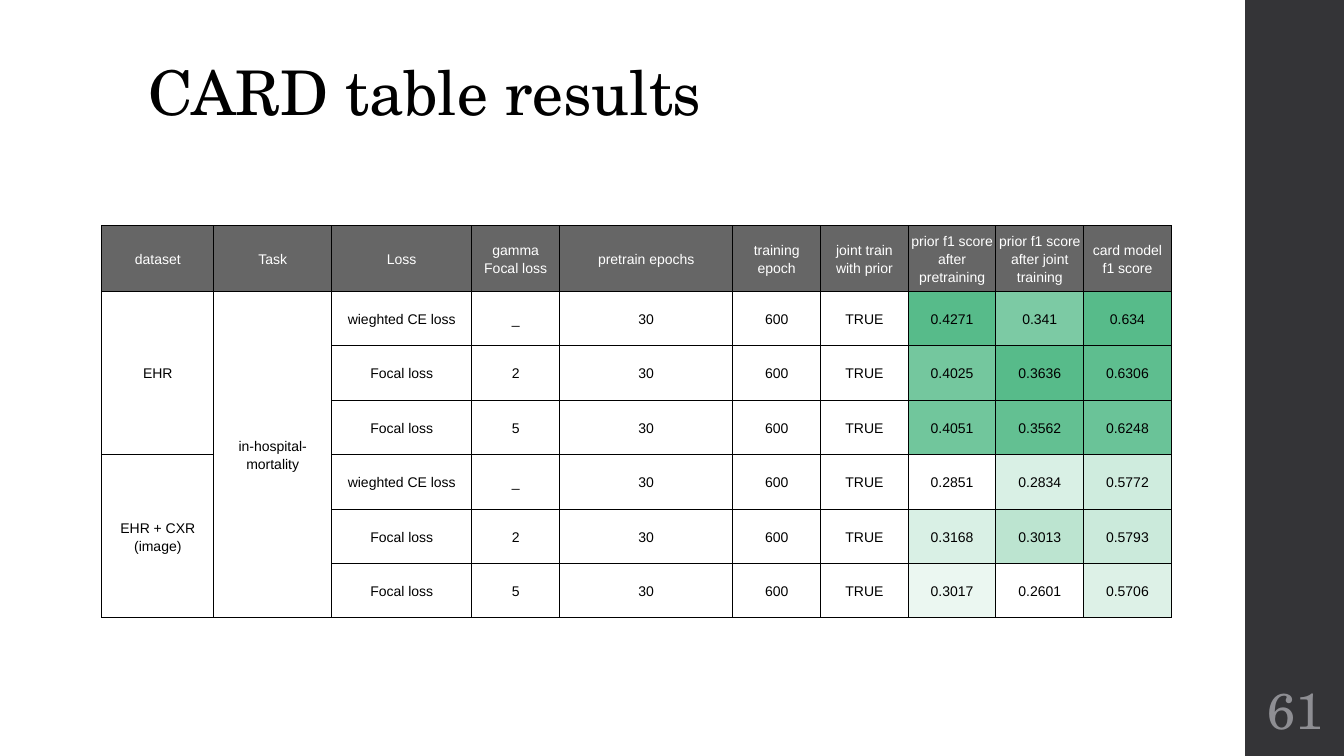
import dataclasses

import lxml.etree
import pptx
import pptx.dml.color
import pptx.enum.shapes
import pptx.enum.text
import pptx.oxml.ns
import pptx.util

Inches = pptx.util.Inches
Align = pptx.enum.text.PP_ALIGN
Anchor = pptx.enum.text.MSO_ANCHOR


@dataclasses.dataclass(frozen=True)
class Theme:
    heading_font: str = "TeX Gyre Schola"
    table_font: str = "Arial"
    title_size: float = 44
    number_size: float = 36
    table_size: float = 10
    border_width: float = 0.75
    ink: str = "000000"
    paper: str = "FFFFFF"
    sidebar: str = "343437"
    number: str = "8E8E93"
    header: str = "666666"
    best_score: str = "57BB8A"


# Content
HEADINGS = ["dataset", "Task", "Loss", "gamma Focal loss", "pretrain epochs",
            "training epoch", "joint train with prior",
            "prior f1 score after pretraining",
            "prior f1 score after joint training", "card model f1 score"]
LOSSES = [("wieghted CE loss", "_"), ("Focal loss", "2"), ("Focal loss", "5")]
TRAINING = ["30", "600", "TRUE"]
DATASETS = {
    "EHR": [(0.4271, 0.341, 0.634), (0.4025, 0.3636, 0.6306),
            (0.4051, 0.3562, 0.6248)],
    "EHR + CXR (image)": [(0.2851, 0.2834, 0.5772), (0.3168, 0.3013, 0.5793),
                          (0.3017, 0.2601, 0.5706)],
}
TASK = "in-hospital-mortality"
# Lowest and highest value of each score column's colour scale
SCORE_RANGES = [(0.2851, 0.4271), (0.2601, 0.3636), (0.5545, 0.634)]
COLUMN_WIDTHS = [1.11, 1.17, 1.39, 0.87, 1.72] + [0.87] * 5
HEADER_HEIGHT, ROW_HEIGHT = 0.65, 0.54


class SlideBuilder:
    def __init__(self, slide, theme):
        self.slide = slide
        self.theme = theme

    def color(self, code):
        return pptx.dml.color.RGBColor.from_string(code)

    def format_text(self, frame, font, size, color, align, spacing):
        for paragraph in frame.paragraphs:
            paragraph.alignment = align
            paragraph.line_spacing = spacing
            for run in paragraph.runs:
                run.font.name = font
                run.font.size = pptx.util.Pt(size)
                run.font.color.rgb = self.color(color)

    def set_margins(self, target, horizontal, vertical):
        target.margin_left = target.margin_right = Inches(horizontal)
        target.margin_top = target.margin_bottom = Inches(vertical)

    def sidebar(self, left, top, width, height):
        bar = self.slide.shapes.add_shape(
            pptx.enum.shapes.MSO_SHAPE.RECTANGLE,
            Inches(left), Inches(top), Inches(width), Inches(height))
        bar.shadow.inherit = False
        bar.fill.solid()
        bar.fill.fore_color.rgb = self.color(self.theme.sidebar)
        bar.line.fill.background()

    def title(self, text, left, top, width, height):
        title = self.slide.shapes.title
        title.left, title.top = Inches(left), Inches(top)
        title.width, title.height = Inches(width), Inches(height)
        frame = title.text_frame
        frame.text = text
        frame.word_wrap = True
        frame.auto_size = pptx.enum.text.MSO_AUTO_SIZE.NONE
        frame.vertical_anchor = Anchor.BOTTOM
        self.set_margins(frame, 0.1, 0.05)
        self.format_text(frame, self.theme.heading_font, self.theme.title_size,
                         self.theme.ink, Align.LEFT, 0.9)

    def page_number(self, text, left, top, width, height):
        number = self.slide.shapes.add_textbox(
            Inches(left), Inches(top), Inches(width), Inches(height))
        frame = number.text_frame
        frame.text = text
        frame.word_wrap = True
        frame.vertical_anchor = Anchor.MIDDLE
        self.set_margins(frame, 0.05, 0.05)
        self.format_text(frame, self.theme.heading_font, self.theme.number_size,
                         self.theme.number, Align.CENTER, 0.9)

    def table(self, left, top, widths, heights):
        table = self.slide.shapes.add_table(
            len(heights), len(widths), Inches(left), Inches(top),
            Inches(sum(widths)), Inches(sum(heights))).table
        for column, width in zip(table.columns, widths):
            column.width = Inches(width)
        for row, height in zip(table.rows, heights):
            row.height = Inches(height)
        for cell in table.iter_cells():
            cell.fill.background()
            self.cell_borders(cell)
        return table

    def cell_borders(self, cell):
        properties = cell._tc.get_or_add_tcPr()
        for position, side in enumerate(("lnL", "lnR", "lnT", "lnB")):
            line = lxml.etree.Element(pptx.oxml.ns.qn(f"a:{side}"))
            line.set("w", str(pptx.util.Pt(self.theme.border_width)))
            fill = lxml.etree.SubElement(line, pptx.oxml.ns.qn("a:solidFill"))
            ink = lxml.etree.SubElement(fill, pptx.oxml.ns.qn("a:srgbClr"))
            ink.set("val", self.theme.ink)
            properties.insert(position, line)

    def cell(self, cell, text, fill=None, color=None):
        cell.text_frame.text = text
        cell.vertical_anchor = Anchor.MIDDLE
        self.set_margins(cell, 0.03, 0.02)
        self.format_text(cell.text_frame, self.theme.table_font,
                         self.theme.table_size, color or self.theme.ink,
                         Align.CENTER, 1.15)
        if fill:
            cell.fill.solid()
            cell.fill.fore_color.rgb = self.color(fill)

    def score_color(self, score, low, high):
        share = (score - low) / (high - low)
        ends = zip(self.color(self.theme.paper), self.color(self.theme.best_score))
        return "".join(f"{round(a + (b - a) * share):02X}" for a, b in ends)


def main():
    presentation = pptx.Presentation()
    presentation.slide_width = Inches(13.33)
    presentation.slide_height = Inches(7.5)
    theme = Theme()
    slide = presentation.slides.add_slide(presentation.slide_layouts[5])
    builder = SlideBuilder(slide, theme)

    # Frame and title
    builder.sidebar(12.35, 0, 0.98, 7.5)
    builder.title("CARD table results", 1.37, 0.49, 10.6, 0.84)
    builder.page_number("61", 12.35, 6.75, 1, 0.65)

    # Table header
    row_count = sum(len(scores) for scores in DATASETS.values())
    results = builder.table(1.01, 2.24, COLUMN_WIDTHS,
                            [HEADER_HEIGHT] + [ROW_HEIGHT] * row_count)
    for column, heading in enumerate(HEADINGS):
        builder.cell(results.cell(0, column), heading, theme.header, theme.paper)

    # Merged task and dataset cells, then one row per loss
    results.cell(1, 1).merge(results.cell(row_count, 1))
    builder.cell(results.cell(1, 1), TASK)
    row = 1
    for dataset, score_rows in DATASETS.items():
        results.cell(row, 0).merge(results.cell(row + len(score_rows) - 1, 0))
        builder.cell(results.cell(row, 0), dataset)
        for loss, scores in zip(LOSSES, score_rows):
            for column, text in enumerate([*loss, *TRAINING], start=2):
                builder.cell(results.cell(row, column), text)
            for column, (score, limits) in enumerate(zip(scores, SCORE_RANGES), start=7):
                builder.cell(results.cell(row, column), str(score),
                             builder.score_color(score, *limits))
            row += 1

    presentation.save("out.pptx")


if __name__ == "__main__":
    main()
